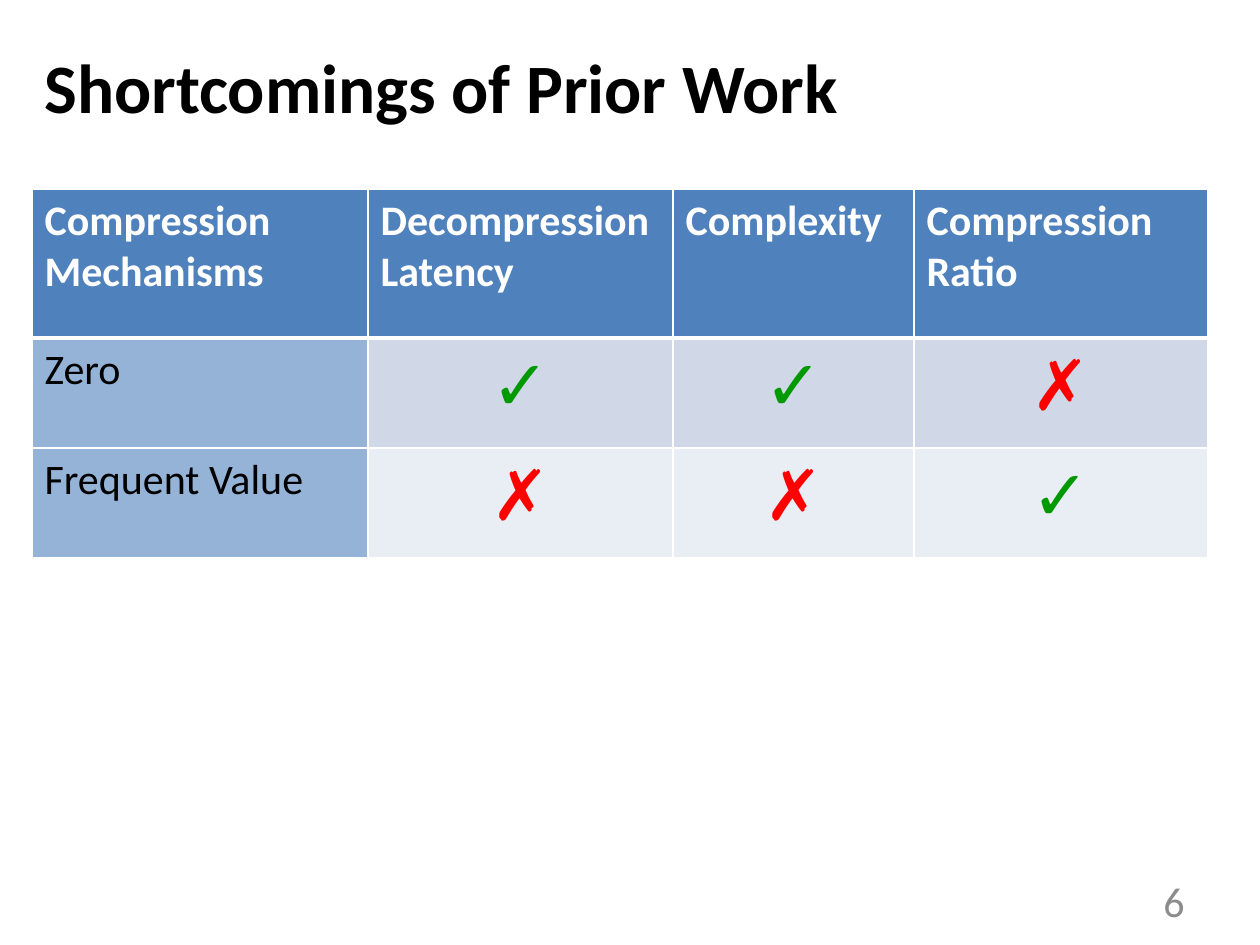
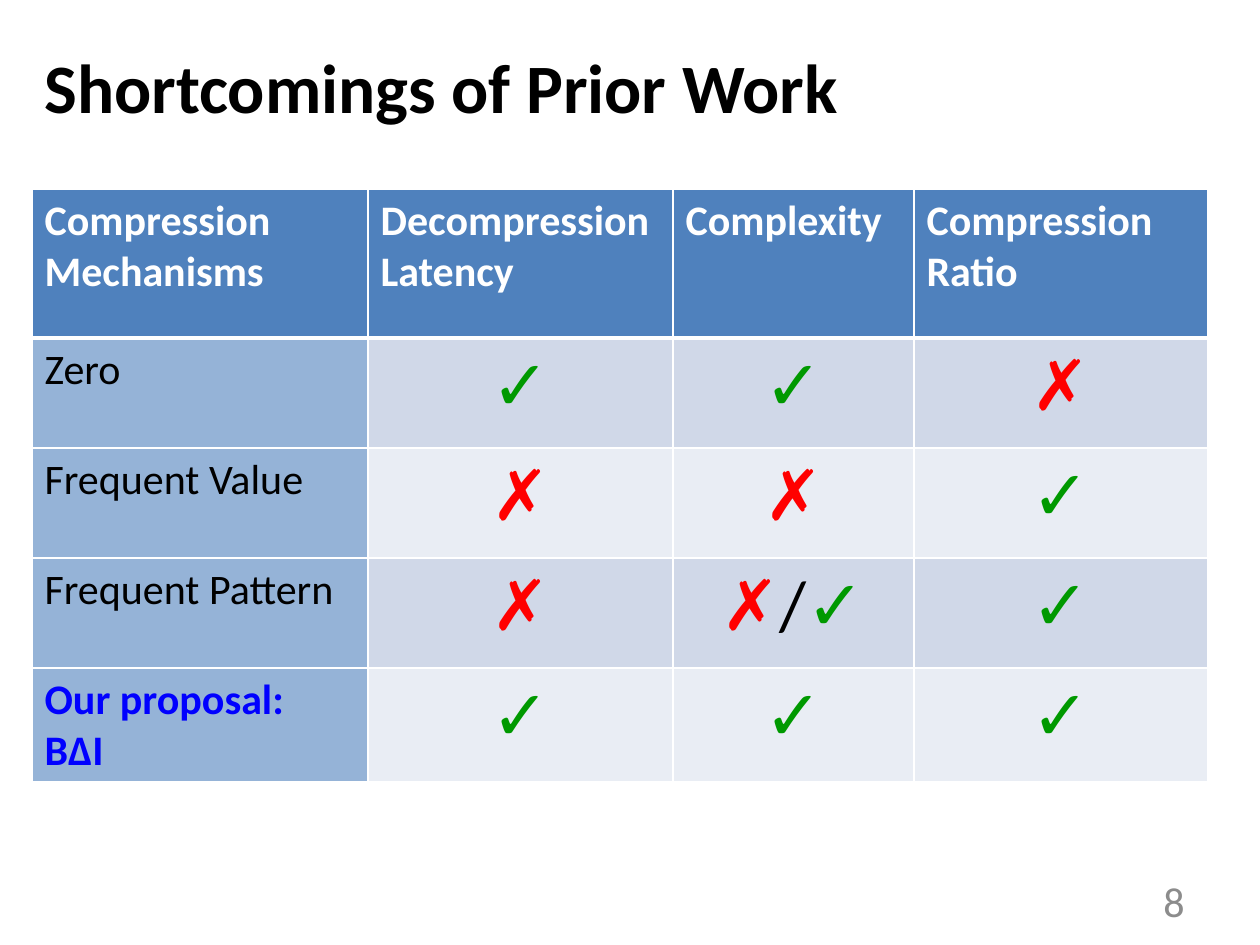
from dataclasses import dataclass

from lxml import etree
from pptx import Presentation
from pptx.dml.color import RGBColor
from pptx.enum.text import MSO_ANCHOR, PP_ALIGN
from pptx.oxml.ns import qn
from pptx.util import Emu, Pt

LEFT, CENTER, RIGHT = PP_ALIGN.LEFT, PP_ALIGN.CENTER, PP_ALIGN.RIGHT
MIDDLE = MSO_ANCHOR.MIDDLE
SCALE = 914400 / 126


@dataclass(frozen=True)
class Theme:
    """Colours, type sizes and line widths shared by the slides."""
    font: str = "Calibri"
    black: str = "000000"
    white: str = "FFFFFF"
    page: str = "8C8C8C"
    header: str = "4F81BD"
    label: str = "95B3D7"
    bands: tuple = ("D0D8E8", "E9EDF4")
    yes: str = "009900"
    no: str = "FF0000"
    accent: str = "0000FF"
    title_size: float = 39.6
    body_size: float = 24
    mark_size: float = 40
    rule: float = 1
    header_rule: float = 3


THEME = Theme()
MARK_COLORS = {"✓": THEME.yes, "✗": THEME.no, "/": THEME.black}

SLIDE_SIZE = (1260, 945)
TITLE_BOX = (32, 33, 1187, 105)
PAGE_BOX = (903, 876, 294, 50)
TABLE_ORIGIN = (32, 189)
COL_WIDTHS = (336, 305, 241, 294)
HEADER_HEIGHT, ROW_HEIGHT = 149, 110

TITLE = "Shortcomings of Prior Work"
HEADERS = ("Compression\nMechanisms", "Decompression\nLatency",
           "Complexity", "Compression\nRatio")
PRIOR_WORK = [
    ("Zero", "✓", "✓", "✗"),
    ("Frequent Value", "✗", "✗", "✓"),
    ("Frequent Pattern", "✗", "✗/✓", "✓"),
]
PROPOSAL = ("Our proposal:\nBΔI", "✓", "✓", "✓")


def px(n):
    """Turn picture pixels into EMU."""
    return Emu(round(n * SCALE))


def rgb(color):
    """Turn a hex string into a colour."""
    return RGBColor.from_string(color)


def write(tf, text, size, color, bold=False, align=LEFT):
    """Write each line of text as a paragraph of one style."""
    tf.text = text
    for p in tf.paragraphs:
        p.alignment = align
        p.font.name = THEME.font
        p.font.size = Pt(size)
        p.font.bold = bold
        p.font.color.rgb = rgb(color)


def write_marks(tf, marks):
    """Write centred marks, each in the colour of its meaning."""
    p = tf.paragraphs[0]
    p.alignment = CENTER
    p.font.name = THEME.font
    p.font.size = Pt(THEME.mark_size)
    p.font.bold = False
    for mark in marks:
        r = p.add_run()
        r.text = mark
        r.font.color.rgb = rgb(MARK_COLORS[mark])


def add_text(slide, box, text, size, color, bold=False, align=LEFT):
    """Add a wrapped, vertically centred text box."""
    tf = slide.shapes.add_textbox(*map(px, box)).text_frame
    tf.word_wrap = True
    tf.vertical_anchor = MIDDLE
    write(tf, text, size, color, bold, align)


def style_cell(cell, fill, top, bottom):
    """Fill a cell and rule its four sides in white."""
    cell.fill.solid()
    cell.fill.fore_color.rgb = rgb(fill)
    tc_pr = cell._tc.get_or_add_tcPr()
    sides = (("L", THEME.rule), ("R", THEME.rule), ("T", top), ("B", bottom))
    for i, (side, width) in enumerate(sides):
        ln = etree.Element(qn(f"a:ln{side}"), w=str(Pt(width)))
        paint = etree.SubElement(ln, qn("a:solidFill"))
        etree.SubElement(paint, qn("a:srgbClr"), val=THEME.white)
        tc_pr.insert(i, ln)


def add_comparison(slide, origin, rows, highlight):
    """Add the table of mechanisms, with one label optionally highlighted."""
    heights = [HEADER_HEIGHT] + [ROW_HEIGHT] * len(rows)
    size = (sum(COL_WIDTHS), sum(heights))
    table = slide.shapes.add_table(
        len(heights), len(COL_WIDTHS), *map(px, origin + size)).table
    for col, width in zip(table.columns, COL_WIDTHS):
        col.width = px(width)
    for row, height in zip(table.rows, heights):
        row.height = px(height)

    for cell, text in zip(table.rows[0].cells, HEADERS):
        style_cell(cell, THEME.header, THEME.rule, THEME.header_rule)
        write(cell.text_frame, text, THEME.body_size, THEME.white, True)

    for i, values in enumerate(rows):
        top = THEME.rule if i else THEME.header_rule
        label, *marks = table.rows[i + 1].cells
        special = values == highlight
        style_cell(label, THEME.label, top, THEME.rule)
        write(label.text_frame, values[0], THEME.body_size,
              THEME.accent if special else THEME.black, special)
        for cell, value in zip(marks, values[1:]):
            style_cell(cell, THEME.bands[i % 2], top, THEME.rule)
            write_marks(cell.text_frame, value)


def add_comparison_slide(prs, number, rows, highlight=None):
    """Add a slide with title, comparison table and page number."""
    slide = prs.slides.add_slide(prs.slide_layouts[6])
    add_text(slide, TITLE_BOX, TITLE, THEME.title_size, THEME.black, True)
    add_text(slide, PAGE_BOX, str(number), THEME.body_size, THEME.page,
             align=RIGHT)
    add_comparison(slide, TABLE_ORIGIN, rows, highlight)


def main():
    """Build and save the presentation."""
    prs = Presentation()
    prs.slide_width, prs.slide_height = map(px, SLIDE_SIZE)
    add_comparison_slide(prs, 6, PRIOR_WORK[:2])
    add_comparison_slide(prs, 8, PRIOR_WORK + [PROPOSAL], PROPOSAL)
    prs.save("out.pptx")


main()
